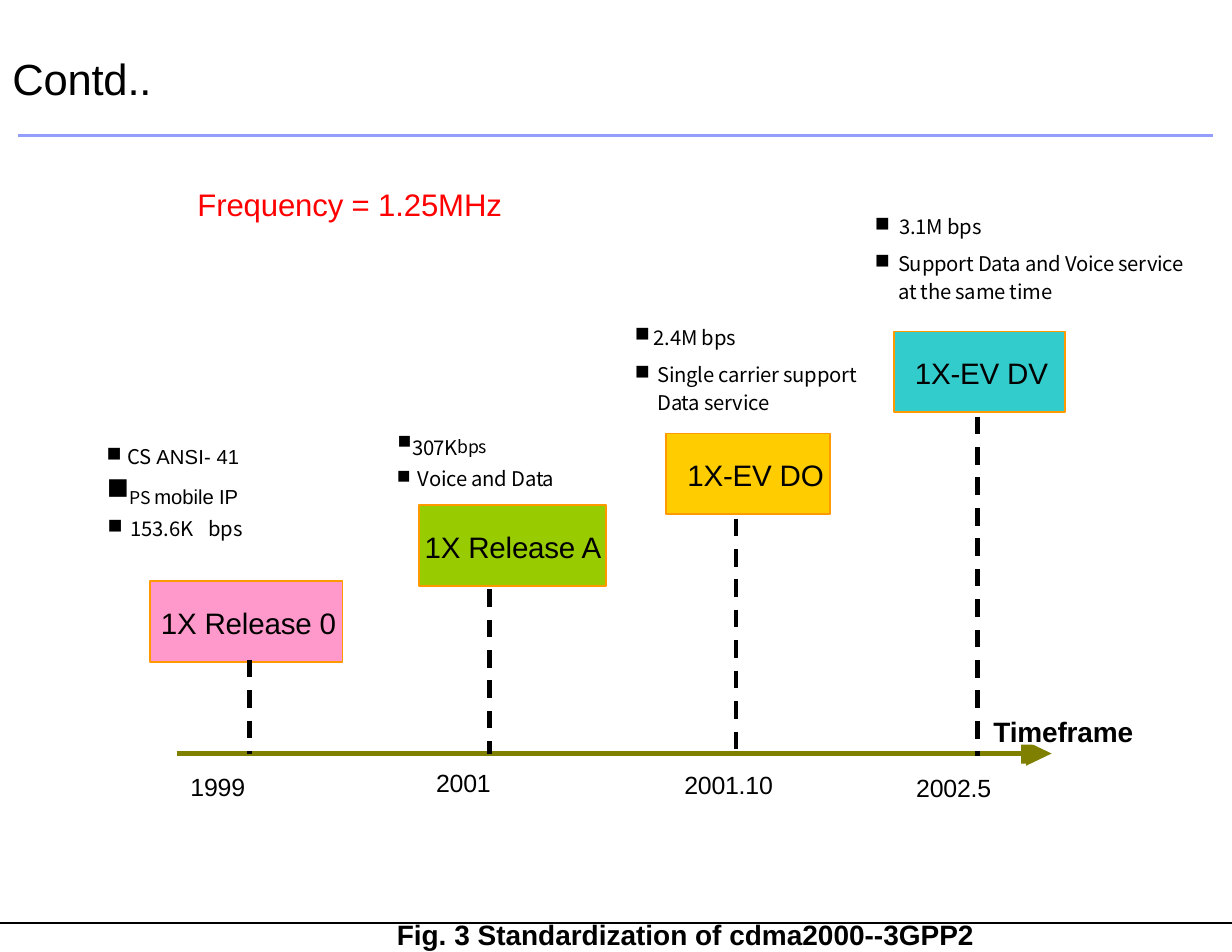
"""Build the cdma2000 standardization timeline slide."""
from lxml import etree
from pptx import Presentation
from pptx import util as u
from pptx.dml.color import RGBColor
from pptx.enum import shapes, text
from pptx.oxml import ns


class Theme:
    black, white, red = "000000", "FFFFFF", "FF0000"
    rule, axis, outline = "939DFC", "808000", "FF9900"
    pink, green, yellow, teal = "FF99CC", "99CC00", "FFCC00", "33CCCC"
    latin, notes = "Arial", "Noto Sans CJK JP"
    title, frequency, box, caption, year, note, raised = 28, 20, 19, 18, 16, 13, 19.5


def write(shape, runs, size, font=Theme.latin, color=Theme.black, bold=False, spacing=-0.1,
          inset=0.03, indent=0.03, hanging=0.0, before=0, leading=None, bullet=None, tab=None):
    """Add one paragraph of (text, overrides) runs to a shape."""
    frame = shape.text_frame
    frame.word_wrap = True
    frame.vertical_anchor = text.MSO_ANCHOR.TOP
    frame.margin_left = frame.margin_right = frame.margin_bottom = 0
    frame.margin_top = u.Cm(inset)
    paragraph = frame.add_paragraph() if frame.text else frame.paragraphs[0]
    paragraph.alignment = text.PP_ALIGN.LEFT
    paragraph.space_before = u.Pt(before)
    if leading:
        paragraph.line_spacing = leading
    properties = paragraph._p.get_or_add_pPr()
    properties.set("marL", str(u.Cm(indent)))
    properties.set("indent", str(-u.Cm(hanging)))
    if bullet:
        etree.SubElement(properties, ns.qn("a:buSzPct"), val=str(bullet * 1000))
        etree.SubElement(properties, ns.qn("a:buChar"), char="■")
    if tab:
        stops = etree.SubElement(properties, ns.qn("a:tabLst"))
        etree.SubElement(stops, ns.qn("a:tab"), pos=str(u.Cm(tab)), algn="l")
    for words, own in [(runs, {})] if isinstance(runs, str) else runs:
        run = paragraph.add_run()
        run.text = words
        run.font.name = own.get("font", font)
        run.font.size = u.Pt(own.get("size", size))
        run.font.bold = bold
        run.font.color.rgb = RGBColor.from_string(color)
        attributes = run._r.get_or_add_rPr()
        attributes.set("spc", str(round(own.get("spacing", spacing) * 100)))
        if "baseline" in own:
            attributes.set("baseline", str(own["baseline"] * 1000))


def add_block(place, fill, outline=None):
    """Add a filled rectangle, with an outline if a colour is given."""
    block = slide.shapes.add_shape(shapes.MSO_SHAPE.RECTANGLE, *map(u.Cm, place))
    block.shadow.inherit = False
    block.fill.solid()
    block.fill.fore_color.rgb = RGBColor.from_string(fill)
    if outline:
        block.line.color.rgb = RGBColor.from_string(outline)
        block.line.width = u.Pt(1.12)
    else:
        block.line.fill.background()
    return block


presentation = Presentation()
presentation.slide_width, presentation.slide_height = u.Cm(27.94), u.Cm(21.59)
slide = presentation.slides.add_slide(presentation.slide_layouts[6])

releases = [
    ("1X Release 0", (3.4, 13.18, 4.37, 1.83), Theme.pink, 0.25),
    ("1X Release A", (9.5, 11.46, 4.24, 1.83), Theme.green, 0.13),
    ("1X-EV DO", (15.11, 9.83, 3.71, 1.83), Theme.yellow, 0.48),
    ("1X-EV DV", (20.27, 7.52, 3.89, 1.83), Theme.teal, 0.48),
]
for name, place, fill, indent in releases:
    box = add_block(place, fill, Theme.outline)
    write(box, name, Theme.box, inset=0.53, indent=indent)

lines = [
    (0.41, 3.07, 27.51, 3.07, Theme.rule, 1.75),
    (0, 20.93, 27.94, 20.93, Theme.black, 1),
    (4.01, 17.09, 23.19, 17.09, Theme.axis, 2.91),
]
dash, pitch = 0.4, 0.69
drops = [(5.66, 14.96, 17.11, 2.75), (11.1, 13.36, 17.09, 3),
         (16.69, 11.76, 16.99, 2.87), (22.17, 9.45, 17.15, 2.75)]
for x, top, bottom, width in drops:
    for step in range(int((bottom - top) / pitch) + 1):
        start = top + step * pitch
        lines.append((x, start, x, min(start + dash, bottom), Theme.black, width))
for *ends, color, width in lines:
    line = slide.shapes.add_connector(shapes.MSO_CONNECTOR.STRAIGHT, *map(u.Cm, ends))
    line.line.color.rgb = RGBColor.from_string(color)
    line.line.width = u.Pt(width)
    etree.SubElement(line._element.spPr, ns.qn("a:effectLst"))

builder = slide.shapes.build_freeform(u.Cm(23.16), u.Cm(16.76))
builder.add_line_segments([(u.Cm(23.16), u.Cm(17.42)), (u.Cm(23.85), u.Cm(17.09))], close=True)
arrowhead = builder.convert_to_shape()
arrowhead.shadow.inherit = False
arrowhead.fill.solid()
arrowhead.fill.fore_color.rgb = RGBColor.from_string(Theme.axis)
arrowhead.line.fill.background()

for place in [(22.45, 15.93, 3.63, 0.96), (20.68, 17.32, 2.59, 1.4)]:
    add_block(place, Theme.white)

labels = [
    ("Contd..", (0.25, 1.14, 3.28, 1.27), dict(size=Theme.title)),
    ("Frequency = 1.25MHz", (4.45, 4.17, 7.01, 0.91), dict(size=Theme.frequency, color=Theme.red)),
    ("1999", (4.29, 17.48, 1.32, 0.76), dict(size=Theme.year)),
    ("2001", (9.86, 17.37, 1.32, 0.76), dict(size=Theme.year)),
    ("2001.10", (15.49, 17.42, 2.11, 0.76), dict(size=Theme.year)),
    ("2002.5", (20.75, 17.5, 1.8, 0.76), dict(size=Theme.year)),
    ("Timeframe", (22.5, 16.18, 3.28, 0.84), dict(size=Theme.caption, bold=True)),
    ("Fig. 3 Standardization of cdma2000--3GPP2", (8.97, 20.78, 13.18, 0.84),
     dict(size=Theme.caption, bold=True, spacing=0)),
]
for words, place, style in labels:
    write(slide.shapes.add_textbox(*map(u.Cm, place)), words, **style)

latin = dict(font=Theme.latin)
notes = [
    ((2.39, 9.93, 3.2, 2.11), 0.15, 100, [
        ([("CS ", {}), ("ANSI- ", dict(latin, spacing=0.1)), ("41", latin)],
         dict(indent=0.51, hanging=0.48)),
        ([("PS ", dict(size=Theme.raised, baseline=2)), ("mobile", dict(latin, spacing=0)),
          (" IP", latin)], dict(indent=0.51, hanging=0.48, before=3.6)),
        ("153.6K\tbps", dict(indent=0.58, hanging=0.53, before=3.6, tab=2.34)),
    ]),
    ((8.97, 9.5, 3.76, 1.4), 0.15, 92, [
        ([("307K", dict(spacing=-0.2)), ("bps", dict(size=Theme.raised, spacing=-0.3, baseline=9))],
         dict(indent=0.38, hanging=0.33)),
        ("Voice and Data", dict(indent=0.51, hanging=0.48, before=3)),
    ]),
    ((14.4, 7.04, 5.59, 2.41), 0.33, 100, [
        ("2.4M bps", dict(indent=0.43, hanging=0.43)),
        ("Single carrier support Data service",
         dict(indent=0.51, hanging=0.51, before=6.2, leading=1.15)),
    ]),
    ((19.84, 4.57, 7.44, 2.36), 0.3, 100, [
        ("3.1M bps", dict(indent=0.56, hanging=0.56)),
        ("Support Data and Voice service at the same time",
         dict(indent=0.53, hanging=0.53, before=5.6, leading=1.15)),
    ]),
]
for place, inset, bullet, items in notes:
    note = slide.shapes.add_textbox(*map(u.Cm, place))
    for runs, style in items:
        write(note, runs, Theme.note, font=Theme.notes, inset=inset, bullet=bullet, **style)

presentation.save("out.pptx")
